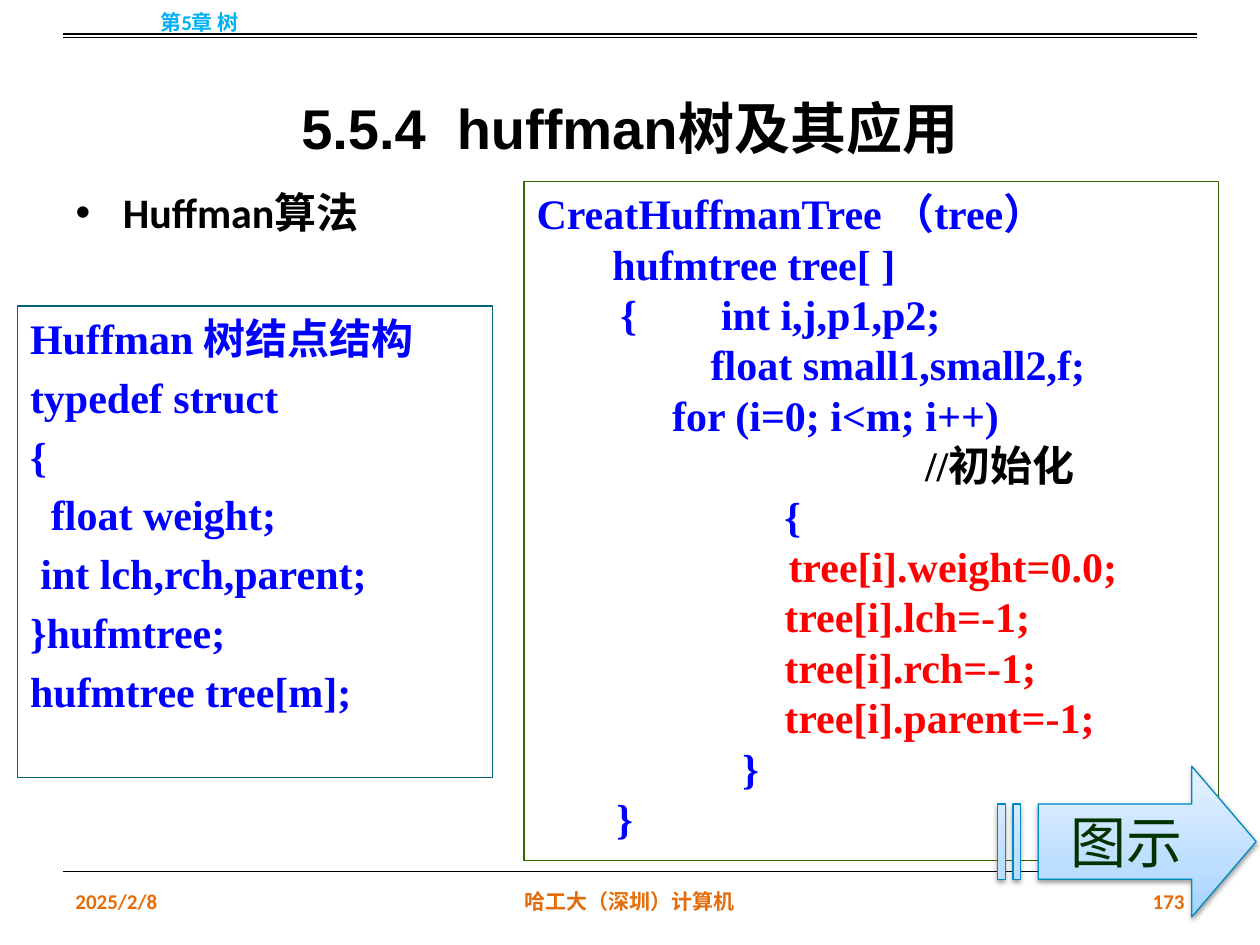
from copy import deepcopy

from lxml import etree
from pptx import Presentation
from pptx.dml.color import RGBColor
from pptx.enum.shapes import MSO_CONNECTOR, MSO_SHAPE
from pptx.enum.text import MSO_ANCHOR, MSO_AUTO_SIZE, PP_ALIGN
from pptx.oxml.ns import qn
from pptx.util import Pt

LEFT, CENTER, RIGHT = PP_ALIGN.LEFT, PP_ALIGN.CENTER, PP_ALIGN.RIGHT
TOP, MIDDLE = MSO_ANCHOR.TOP, MSO_ANCHOR.MIDDLE
STRAIGHT, RECTANGLE = MSO_CONNECTOR.STRAIGHT, MSO_SHAPE.RECTANGLE

BLACK = RGBColor(0x00, 0x00, 0x00)
BLUE = RGBColor(0x00, 0x00, 0xFF)
RED = RGBColor(0xFF, 0x00, 0x00)
ORANGE = RGBColor(0xE4, 0x6C, 0x0A)
SKY = RGBColor(0x00, 0xB0, 0xF0)
DARK_GREEN = RGBColor(0x00, 0x33, 0x00)
GREEN = RGBColor(0x33, 0x66, 0x00)
TEAL = RGBColor(0x04, 0x61, 0x7B)
ARROW_EDGE = RGBColor(0x00, 0x8B, 0xC0)
ARROW_STOPS = [
    (0, RGBColor(0xA2, 0xD1, 0xFF)),
    (0.35, RGBColor(0xBD, 0xDE, 0xFF)),
    (1, RGBColor(0xE6, 0xF2, 0xFF)),
]

TITLE = "5.5.4  huffman树及其应用"
TOPIC = "Huffman算法"
# text, box (left, top, width, height), alignment, colour
MARGIN_NOTES = [
    ("2025/2/8", (36, 500.5, 168, 29), LEFT, ORANGE),
    ("哈工大（深圳）计算机", (246, 500.5, 228, 29), CENTER, ORANGE),
    ("173", (516, 500.5, 168, 29), RIGHT, ORANGE),
    ("第5章 树", (0, -2, 228, 29), CENTER, SKY),
]
RULE_HEIGHTS = [21.6, 19.5, 498.2]

# Each paragraph is a list of (text, colour); "\n" breaks the line
ALGORITHM = [
    [("CreatHuffmanTree （tree）\n    hufmtree tree[ ]", BLUE)],
    [("        {　　int i,j,p1,p2;\n             float small1,small2,f;", BLUE)],
    [(" 　　　for (i=0; i<m; i++)", BLUE)],
    [("                                     ", BLUE),
     ("//初始化\n　　　　　", BLACK), ("{", BLUE)],
    [("                        ", BLUE),
     ("tree[i].weight=0.0;\n　　　　　tree[i].lch=-1;\n"
      "　　　　　tree[i].rch=-1;\n　　　　　tree[i].parent=-1;\n　　　　", RED),
     ("}\n    }", BLUE)],
]
NODE_STRUCT = [[(line, BLUE)] for line in (
    "Huffman 树结点结构",
    "typedef struct",
    "{",
    "  float weight;",
    " int lch,rch,parent;",
    "}hufmtree;",
    "hufmtree tree[m];",
)]

ARROW_TEXT = "图示"
SHAFT_TOP, SHAFT_BOTTOM = 459.4, 502.4
STRIPES = [(578.9, 583.2), (570.2, 574.5)]
ARROW_BODY = [(681, 437.8), (681, SHAFT_TOP), (593.3, SHAFT_TOP),
              (593.3, SHAFT_BOTTOM), (681, SHAFT_BOTTOM),
              (681, 524), (717.8, 480.9)]


def points(*lengths):
    return [Pt(length) for length in lengths]


def add_text(paragraph, text, size, font, color, bold=True):
    for i, line in enumerate(text.split("\n")):
        if i:
            paragraph.add_line_break()
        run = paragraph.add_run()
        run.text = line
        run.font.size = Pt(size)
        run.font.name = font
        run.font.bold = bold
        run.font.color.rgb = color


def fill_placeholder(placeholder, box, text, size, font, anchor):
    placeholder.left, placeholder.top, placeholder.width, placeholder.height = points(*box)
    frame = placeholder.text_frame
    frame.auto_size = MSO_AUTO_SIZE.NONE
    frame.vertical_anchor = anchor
    paragraph = frame.paragraphs[0]
    paragraph.space_before = Pt(0)
    add_text(paragraph, text, size, font, BLACK)
    return paragraph


def add_code_box(slide, box, edge, width, paragraphs, gap):
    panel = slide.shapes.add_shape(RECTANGLE, *points(*box))
    panel.shadow.inherit = False
    panel.fill.background()
    panel.line.color.rgb = edge
    panel.line.width = Pt(width)
    frame = panel.text_frame
    frame.word_wrap = True
    frame.vertical_anchor = TOP
    for i, parts in enumerate(paragraphs):
        paragraph = frame.add_paragraph() if i else frame.paragraphs[0]
        properties = paragraph._p.get_or_add_pPr()
        properties.set("marL", str(Pt(21.6)))
        properties.set("indent", str(-Pt(21.6)))
        paragraph.alignment = LEFT
        paragraph.line_spacing = Pt(28.8)
        paragraph.space_before = Pt(gap if i else 0)
        for text, color in parts:
            add_text(paragraph, text, 24, "Times New Roman", color)


def add_arrow(slide):
    outlines = [ARROW_BODY] + [
        [(left, SHAFT_TOP), (left, SHAFT_BOTTOM), (right, SHAFT_BOTTOM), (right, SHAFT_TOP)]
        for left, right in STRIPES
    ]
    builder = slide.shapes.build_freeform(*points(*outlines[0][0]), scale=1.0)
    for i, (start, *corners) in enumerate(outlines):
        if i:
            builder.move_to(*points(*start))
        builder.add_line_segments([points(*corner) for corner in corners], close=True)
    arrow = builder.convert_to_shape()

    arrow.fill.gradient()
    arrow.fill.gradient_angle = 90
    stop_list = arrow._element.spPr.find(".//" + qn("a:gsLst"))
    stop_list.insert(1, deepcopy(stop_list[0]))
    for stop, (position, color) in zip(arrow.fill.gradient_stops, ARROW_STOPS):
        stop.position = position
        stop.color.rgb = color
    arrow.line.color.rgb = ARROW_EDGE
    arrow.line.width = Pt(0.75)

    arrow.shadow.inherit = False
    effects = arrow._element.spPr.find(qn("a:effectLst"))
    shadow = etree.SubElement(effects, qn("a:outerShdw"), blurRad=str(Pt(3.1)),
                              dist=str(Pt(1.6)), dir="5400000", rotWithShape="0")
    shade = etree.SubElement(shadow, qn("a:srgbClr"), val=str(BLACK))
    etree.SubElement(shade, qn("a:alpha"), val="38000")

    frame = arrow.text_frame
    frame.word_wrap = False
    frame.vertical_anchor = MIDDLE
    frame.paragraphs[0].alignment = CENTER
    add_text(frame.paragraphs[0], ARROW_TEXT, 32, "Noto Sans CJK SC", DARK_GREEN, bold=False)


def main():
    deck = Presentation()
    deck.slide_width, deck.slide_height = points(720, 540)
    slide = deck.slides.add_slide(deck.slide_layouts[1])
    title, body = slide.placeholders

    heading = fill_placeholder(title, (36, 18, 648, 90), TITLE, 32, "Arial", MIDDLE)
    heading.alignment = CENTER
    heading.line_spacing = 1.5
    topic = fill_placeholder(body, (36, 95.8, 648, 401.8), TOPIC, 24, "Calibri", TOP)
    topic.line_spacing = Pt(36)

    for text, box, alignment, color in MARGIN_NOTES:
        frame = slide.shapes.add_textbox(*points(*box)).text_frame
        frame.word_wrap = True
        frame.vertical_anchor = MIDDLE
        frame.paragraphs[0].alignment = alignment
        add_text(frame.paragraphs[0], text, 12, "Calibri", color)

    for y in RULE_HEIGHTS:
        rule = slide.shapes.add_connector(STRAIGHT, *points(36, y, 684, y))
        rule.line.color.rgb = BLACK
        rule.line.width = Pt(0.75)
        etree.SubElement(rule._element.spPr, qn("a:effectLst"))

    add_code_box(slide, (299.5, 103.7, 396.7, 388.1), GREEN, 0.75, ALGORITHM, 0)
    add_code_box(slide, (10.1, 175, 271.4, 269.3), TEAL, 1, NODE_STRUCT, 4.8)
    add_arrow(slide)
    deck.save("out.pptx")


if __name__ == "__main__":
    main()
